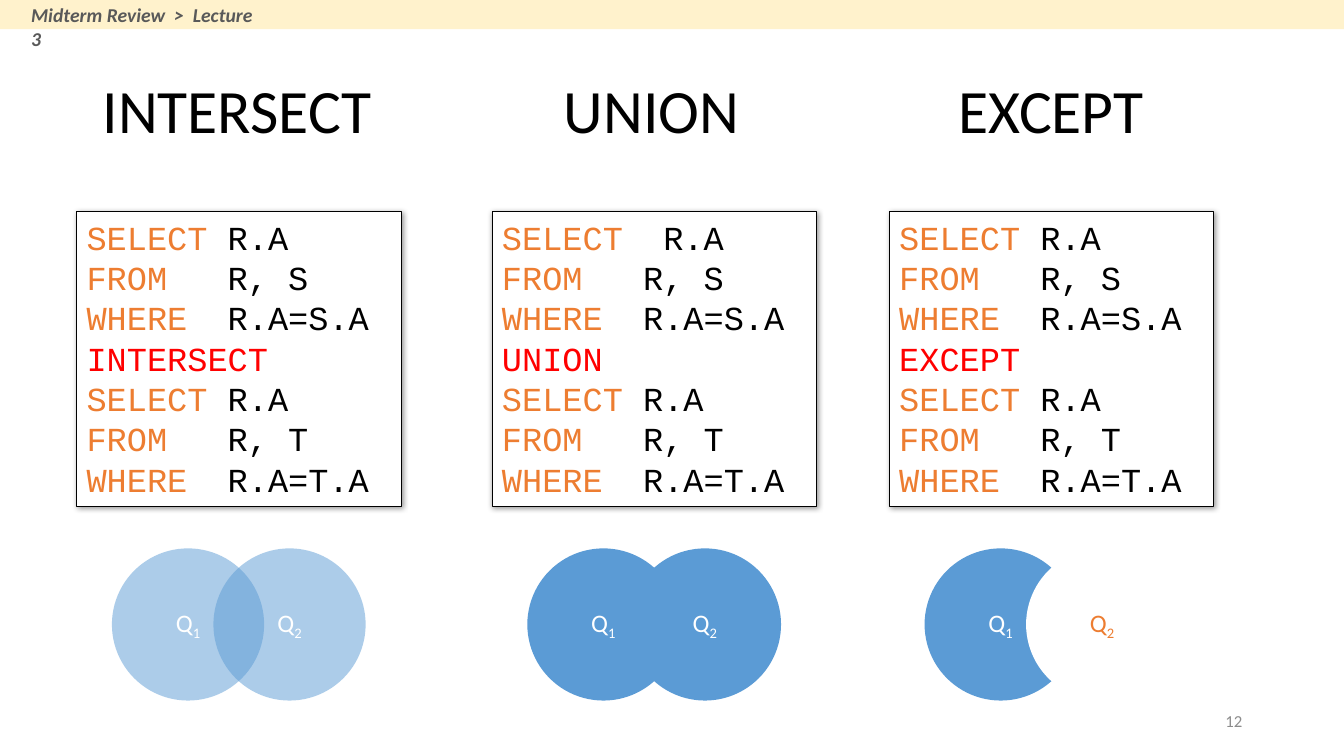
"""Build a slide comparing the SQL set operators INTERSECT, UNION and EXCEPT."""
from dataclasses import dataclass

import lxml.etree
import pptx
import pptx.dml.color
import pptx.enum.shapes
import pptx.enum.text
import pptx.oxml.ns
import pptx.util

BREADCRUMB = "Midterm Review  >  Lecture 3"
PAGE_NUMBER = "12"


@dataclass(frozen=True)
class Theme:
    body_font: str = "Calibri"
    code_font: str = "Courier New"
    black: str = "000000"
    white: str = "FFFFFF"
    keyword: str = "ED7D31"
    operator: str = "FF0000"
    circle: str = "5B9BD5"
    band: str = "FFF2CC"
    breadcrumb: str = "595959"
    number: str = "8C8C8C"
    title_size: int = 44
    code_size: int = 24
    label_size: int = 18
    breadcrumb_size: int = 14
    number_size: int = 12


THEME = Theme()

COLUMNS = [
    {"operator": "INTERSECT", "left": 0.76, "title_width": 2.9, "gap": " ",
     "opacity": 50, "circles": [(THEME.circle, THEME.white)] * 2},
    {"operator": "UNION", "left": 4.88, "title_width": 1.99, "gap": "  ",
     "opacity": 100, "circles": [(THEME.circle, THEME.white)] * 2},
    {"operator": "EXCEPT", "left": 8.82, "title_width": 2.04, "gap": " ",
     "opacity": 100, "circles": [(THEME.circle, THEME.white), (THEME.white, THEME.keyword)]},
]

SLIDE_WIDTH, SLIDE_HEIGHT = 13.33, 7.5
TITLE_TOP, TITLE_HEIGHT = 0.4, 1.45
CODE_TOP, CODE_WIDTH, CODE_HEIGHT = 2.1, 3.22, 2.93
CIRCLE_TOP, DIAMETER, CIRCLE_INDENT = 5.44, 1.51, 0.35
CIRCLE_STEP = DIAMETER * 2 / 3

ALIGN = pptx.enum.text.PP_ALIGN
ANCHOR = pptx.enum.text.MSO_ANCHOR
SHAPE = pptx.enum.shapes.MSO_SHAPE


def rgb(color):
    return pptx.dml.color.RGBColor.from_string(color)


def child(parent, tag, **attributes):
    return lxml.etree.SubElement(parent, pptx.oxml.ns.qn(tag), attributes)


def write_text(shape, text, *, size, color=THEME.black, font=THEME.body_font, align=ALIGN.LEFT,
               anchor=ANCHOR.TOP, spacing=None, bold=False, italic=False):
    """Write a string, or lines of (text, color, baseline) runs, into a shape."""
    lines = [[(text, color, None)]] if isinstance(text, str) else text
    frame = shape.text_frame
    frame.word_wrap = True
    frame.vertical_anchor = anchor
    for index, runs in enumerate(lines):
        paragraph = frame.add_paragraph() if index else frame.paragraphs[0]
        paragraph.alignment = align
        paragraph.line_spacing = spacing
        for content, run_color, baseline in runs:
            run = paragraph.add_run()
            run.text = content
            run.font.name = font
            run.font.size = pptx.util.Pt(size)
            run.font.bold = bold
            run.font.italic = italic
            run.font.color.rgb = rgb(run_color)
            if baseline:
                run.font._element.set("baseline", str(baseline * 1000))


def add_text_box(slide, box, text, **text_format):
    shape = slide.shapes.add_textbox(*map(pptx.util.Inches, box))
    write_text(shape, text, **text_format)


def add_filled_shape(slide, kind, box, fill, opacity=100):
    shape = slide.shapes.add_shape(kind, *map(pptx.util.Inches, box))
    shape.shadow.inherit = False
    shape.fill.solid()
    shape.fill.fore_color.rgb = rgb(fill)
    shape.line.fill.background()
    if opacity < 100:
        color = shape.fill._xPr.find(".//" + pptx.oxml.ns.qn("a:srgbClr"))
        child(color, "a:alpha", val=str(opacity * 1000))
    return shape


def add_soft_shadow(shape):
    effects = shape._element.spPr.find(pptx.oxml.ns.qn("a:effectLst"))
    shadow = child(effects, "a:outerShdw", blurRad="50800", dist="12700", dir="2700000",
                   algn="tl", rotWithShape="0")
    child(child(shadow, "a:srgbClr", val=THEME.black), "a:alpha", val="40000")


def query_lines(table, gap):
    clauses = [("SELECT", gap + "R.A"), ("FROM", f"   R, {table}"),
               ("WHERE", f"  R.A={table}.A")]
    return [[(keyword, THEME.keyword, None), (rest, THEME.black, None)]
            for keyword, rest in clauses]


def add_code(slide, column):
    box = (column["left"], CODE_TOP, CODE_WIDTH, CODE_HEIGHT)
    shape = add_filled_shape(slide, SHAPE.RECTANGLE, box, THEME.white)
    shape.line.color.rgb = rgb(THEME.black)
    shape.line.width = pptx.util.Pt(0.75)
    add_soft_shadow(shape)
    operator_line = [(column["operator"], THEME.operator, None)]
    lines = query_lines("S", column["gap"]) + [operator_line] + query_lines("T", " ")
    write_text(shape, lines, size=THEME.code_size, font=THEME.code_font)


def add_venn(slide, column):
    for index, (fill, label_color) in enumerate(column["circles"]):
        left = column["left"] + CIRCLE_INDENT + index * CIRCLE_STEP
        shape = add_filled_shape(slide, SHAPE.OVAL, (left, CIRCLE_TOP, DIAMETER, DIAMETER),
                                 fill, column["opacity"])
        label = [[("Q", label_color, None), (str(index + 1), label_color, -25)]]
        write_text(shape, label, size=THEME.label_size, align=ALIGN.CENTER,
                   anchor=ANCHOR.MIDDLE)


def add_column(slide, column):
    title_left = column["left"] + (CODE_WIDTH - column["title_width"]) / 2
    add_text_box(slide, (title_left, TITLE_TOP, column["title_width"], TITLE_HEIGHT),
                 column["operator"], size=THEME.title_size, anchor=ANCHOR.MIDDLE, spacing=0.9)
    add_code(slide, column)
    add_venn(slide, column)


def main():
    presentation = pptx.Presentation()
    presentation.slide_width = pptx.util.Inches(SLIDE_WIDTH)
    presentation.slide_height = pptx.util.Inches(SLIDE_HEIGHT)
    slide = presentation.slides.add_slide(presentation.slide_layouts[6])
    for column in COLUMNS:
        add_column(slide, column)
    add_filled_shape(slide, SHAPE.RECTANGLE, (0, 0, SLIDE_WIDTH, 0.29), THEME.band)
    add_text_box(slide, (0.21, -0.02, 2.48, 0.34), BREADCRUMB, size=THEME.breadcrumb_size,
                 color=THEME.breadcrumb, bold=True, italic=True)
    add_text_box(slide, (9.42, 6.95, 3, 0.4), PAGE_NUMBER, size=THEME.number_size,
                 color=THEME.number, align=ALIGN.RIGHT, anchor=ANCHOR.MIDDLE)
    presentation.save("out.pptx")


if __name__ == "__main__":
    main()
